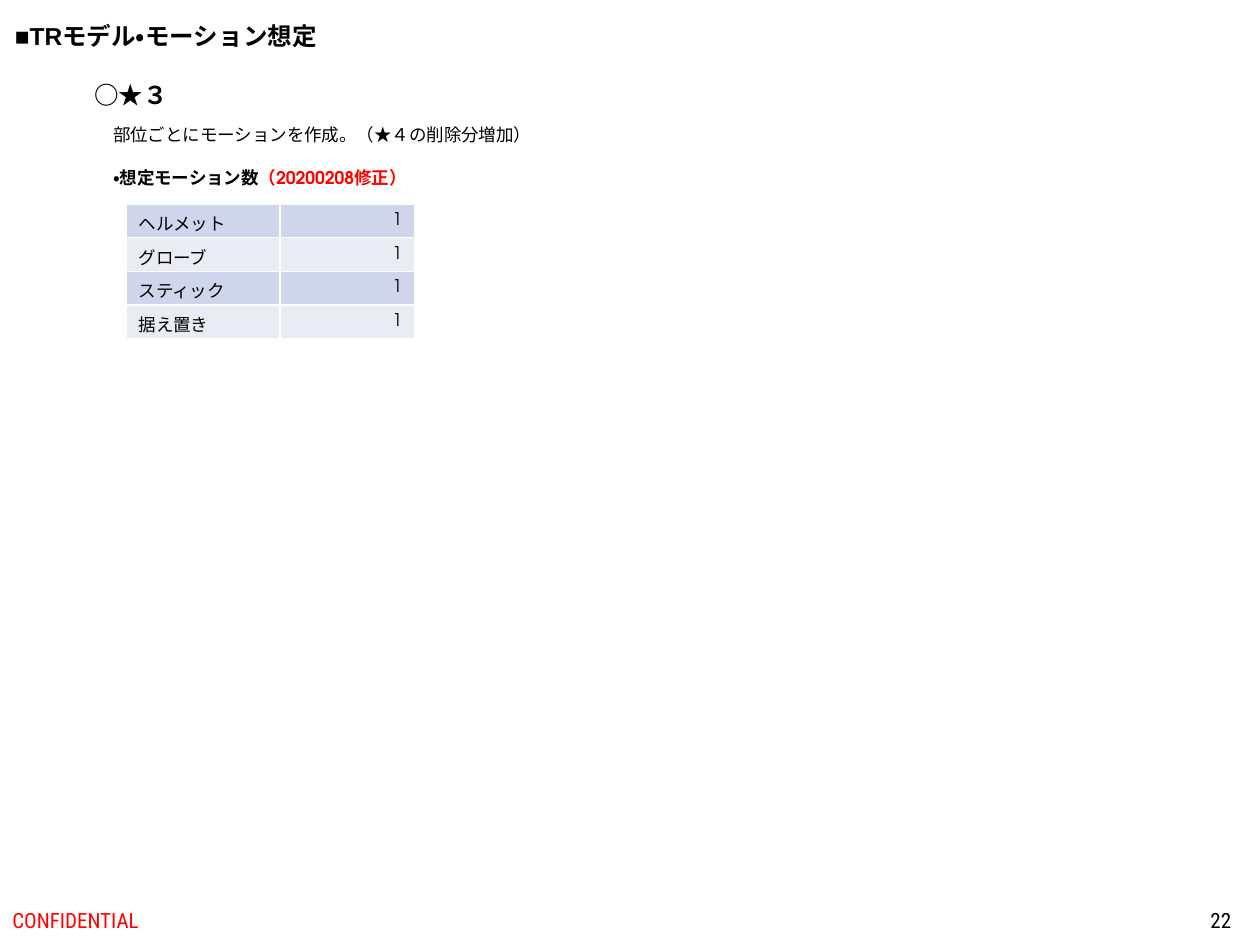
from lxml.etree import SubElement
from pptx import Presentation
from pptx.dml.color import RGBColor
from pptx.enum.lang import MSO_LANGUAGE_ID
from pptx.enum.text import MSO_ANCHOR, MSO_AUTO_SIZE, PP_ALIGN
from pptx.oxml.ns import qn
from pptx.util import Cm, Pt

BODY = "TeX Gyre Adventor"
FOOT = "Roboto Condensed"
BLACK, RED, WHITE = "000000", "FF0000", "FFFFFF"
BANDS = ["CFD5EA", "E9EBF5"]
PARTS = ["ヘルメット", "グローブ", "スティック", "据え置き"]


def rgb(code):
    return RGBColor.from_string(code)


def style(run, face, size, color=BLACK, bold=False):
    font = run.font
    font.name, font.size, font.bold = face, Pt(size), bold
    font.color.rgb = rgb(color)
    font.language_id = MSO_LANGUAGE_ID.JAPANESE


def label(slide, box, runs, face, size, bold=False):
    """One-line text box that fits its text; runs are (text, colour) pairs."""
    frame = slide.shapes.add_textbox(*map(Cm, box)).text_frame
    frame.word_wrap = False
    frame.auto_size = MSO_AUTO_SIZE.SHAPE_TO_FIT_TEXT
    for text, color in runs:
        run = frame.paragraphs[0].add_run()
        run.text = text
        style(run, face, size, color, bold)


def border(cell, color, width):
    props = cell._tc.get_or_add_tcPr()
    for index, side in enumerate(("lnL", "lnR", "lnT", "lnB")):
        line = props.makeelement(qn(f"a:{side}"), {"w": str(Pt(width))})
        fill = SubElement(line, qn("a:solidFill"))
        SubElement(fill, qn("a:srgbClr"), val=color)
        props.insert(index, line)


def header(slide, left, top):
    label(slide, (left, top, 7.21, 0.86),
          [("■TRモデル・モーション想定", BLACK)], "Arial", 14, True)


def section(slide, left, top):
    # Heading, description and table caption
    label(slide, (left, top, 2.01, 0.86), [("○★３", BLACK)], BODY, 14, True)
    label(slide, (left + 0.38, top + 0.88, 9.07, 0.69),
          [("部位ごとにモーションを作成。（★４の削除分増加）", BLACK)], BODY, 10)
    label(slide, (left + 0.38, top + 1.76, 7.2, 0.69),
          [("・想定モーション数", BLACK), ("（20200208修正）", RED)],
          BODY, 10, True)
    counts(slide, left + 0.89, top + 2.62)


def counts(slide, left, top):
    # Motion count per part
    widths, height = [3.1, 2.72], 0.68
    table = slide.shapes.add_table(
        len(PARTS), 2, Cm(left), Cm(top),
        Cm(sum(widths)), Cm(height * len(PARTS))).table
    table.first_row = False
    for column, width in zip(table.columns, widths):
        column.width = Cm(width)
    aligns = [PP_ALIGN.LEFT, PP_ALIGN.RIGHT]
    for row, part in enumerate(PARTS):
        for col, text in enumerate((part, "1")):
            cell = table.cell(row, col)
            cell.vertical_anchor = MSO_ANCHOR.MIDDLE
            cell.fill.solid()
            cell.fill.fore_color.rgb = rgb(BANDS[row % 2])
            border(cell, WHITE, 1)
            cell.text_frame.text = text
            para = cell.text_frame.paragraphs[0]
            para.alignment = aligns[col]
            style(para.runs[0], BODY, 10)


def footer(slide, top, height):
    # Confidentiality mark and page number
    items = [(0, 8.59, "CONFIDENTIAL", RED, PP_ALIGN.LEFT),
             (19.35, 5.72, "22", BLACK, PP_ALIGN.RIGHT)]
    for left, width, text, color, align in items:
        box = slide.shapes.add_textbox(Cm(left), Cm(top), Cm(width), Cm(height))
        frame = box.text_frame
        frame.word_wrap = True
        frame.vertical_anchor = MSO_ANCHOR.MIDDLE
        frame.text = text
        frame.paragraphs[0].alignment = align
        style(frame.paragraphs[0].runs[0], FOOT, 12, color)


def main():
    deck = Presentation()
    deck.slide_width, deck.slide_height = Cm(25.4), Cm(19.05)
    slide = deck.slides.add_slide(deck.slide_layouts[6])
    header(slide, 0.05, 0.3)
    section(slide, 1.65, 1.49)
    footer(slide, 18.03, 1.02)
    deck.save("out.pptx")


if __name__ == "__main__":
    main()
